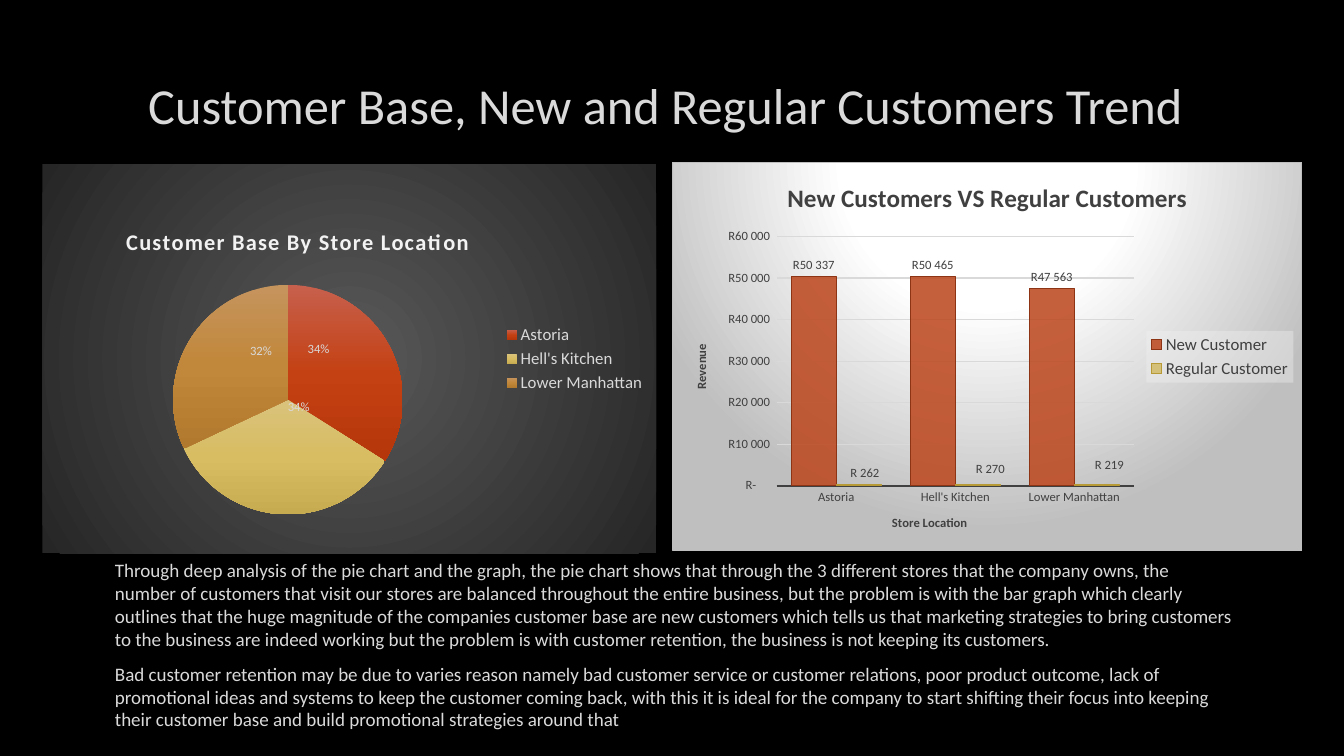
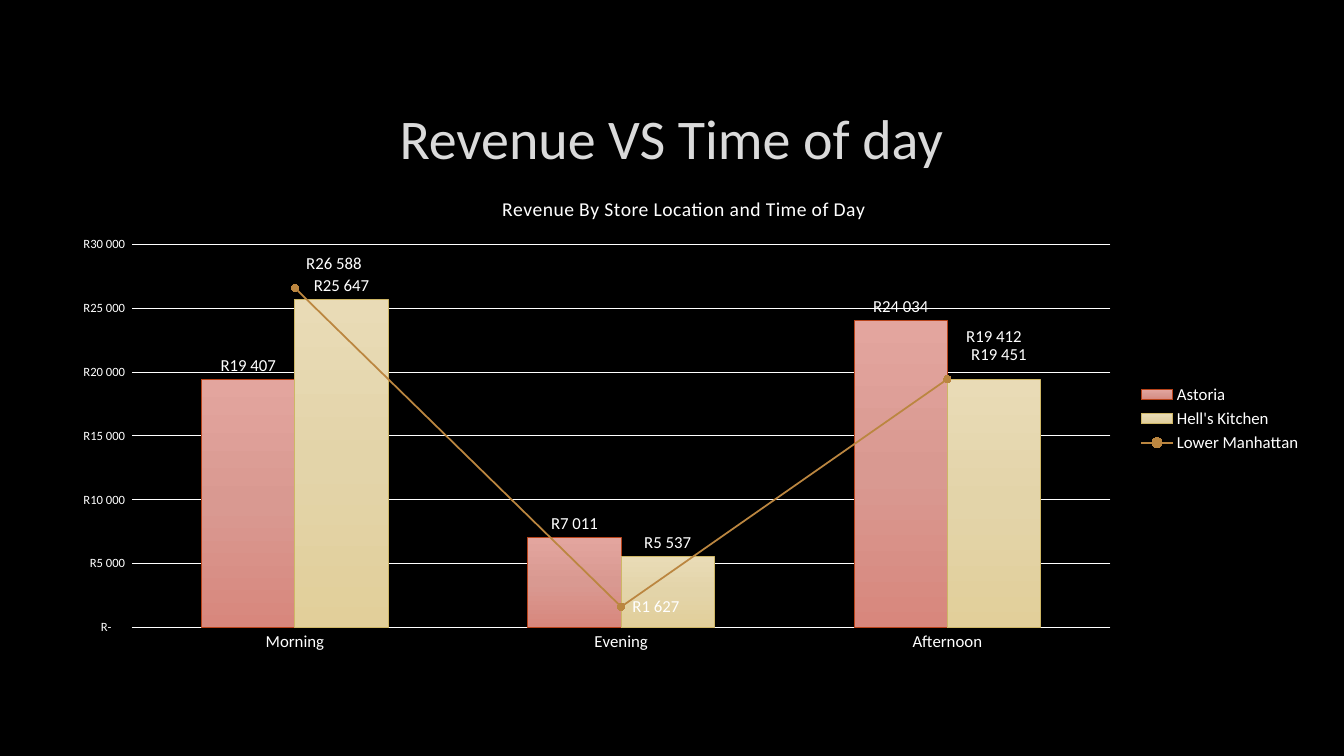
from copy import deepcopy
from dataclasses import dataclass

from pptx import Presentation, oxml
from pptx.chart import data as chart_data
from pptx.dml import color, fill as fills
from pptx.enum import chart as kinds, text
from pptx.oxml import ns
from pptx.util import Inches, Pt


@dataclass(frozen=True)
class Theme:
    font: str = "Calibri"
    back: str = "000000"
    heading: str = "DADADA"
    white: str = "FFFFFF"
    pale: str = "D9D9D9"
    bright: str = "F2F2F2"
    dark: str = "404040"
    edge: str = "BFBFBF"
    tan: str = "BB8640"
    title: float = 36
    big_title: float = 40
    body: float = 13.6
    pie_title: float = 16
    bar_title: float = 18
    combo_title: float = 14
    label: float = 12
    small: float = 9


THEME = Theme()
RAND = r'_-[$R-1C09]* #\ ##0_-;\-[$R-1C09]* #\ ##0_-;_-[$R-1C09]* "-"??_-;_-@_-'
STORES = ["Astoria", "Hell's Kitchen", "Lower Manhattan"]
REGULARS = [262, 270, 219]
SLICE_STOPS = [
    [(0, "C7604D"), (50, "C44113"), (100, "B5360A")],
    [(0, "D9C27B"), (50, "D8BD63"), (100, "C7AB51")],
    [(0, "C5945D"), (50, "C1873A"), (100, "B1792E")],
]
FINDINGS = [
    "Through deep analysis of the pie chart and the graph, the pie chart shows that through the 3 different stores "
    "that the company owns, the number of customers that visit our stores are balanced throughout the entire "
    "business, but the problem is with the bar graph which clearly outlines that the huge magnitude of the companies "
    "customer base are new customers which tells us that marketing strategies to bring customers to the business are "
    "indeed working but the problem is with customer retention, the business is not keeping its customers.",
    "Bad customer retention may be due to varies reason namely bad customer service or customer relations, poor "
    "product outcome, lack of promotional ideas and systems to keep the customer coming back, with this it is ideal "
    "for the company to start shifting their focus into keeping their customer base and build promotional strategies "
    "around that",
]


def rgb(value):
    return color.RGBColor.from_string(value)


def assign(target, **values):
    for name, value in values.items():
        setattr(target, name, value)


def style_font(font, size, ink, bold=False):
    assign(font, name=THEME.font, size=Pt(size), bold=bold)
    font.color.rgb = rgb(ink)


def style_line(line, ink, width=0.75):
    line.color.rgb = rgb(ink)
    line.width = Pt(width)


def element(markup):
    head, rest = markup.split(">", 1) if not markup.endswith("/>") else (markup[:-2], "/>")
    spaces = ns.nsdecls("a", "c")
    return oxml.parse_xml(f"{head} {spaces}{rest}" if rest == "/>" else f"{head} {spaces}>{rest}")


def solid(fill, ink, alpha=100):
    fill.solid()
    fill.fore_color.rgb = rgb(ink)
    if alpha < 100:
        swatch = fill._xPr.find(".//" + ns.qn("a:srgbClr"))
        swatch.append(element(f'<a:alpha val="{alpha * 1000}"/>'))


def gradient(fill, stops, focus=None):
    fill.background()
    listed = "".join(f'<a:gs pos="{at * 1000}"><a:srgbClr val="{ink}"/></a:gs>' for at, ink in stops)
    way = '<a:lin ang="5400000" scaled="0"/>'
    if focus:
        sides = " ".join(f'{side}="{part * 1000}"' for side, part in zip("ltrb", focus))
        way = f'<a:path path="circle"><a:fillToRect {sides}/></a:path>'
    blank = fill._xPr.find(ns.qn("a:noFill"))
    fill._xPr.replace(blank, element(f"<a:gradFill><a:gsLst>{listed}</a:gsLst>{way}</a:gradFill>"))


def place(parent, index, place_at, edge=True):
    old = parent.find(ns.qn("c:layout"))
    if old is not None:
        parent.remove(old)
    modes = '<c:xMode val="edge"/><c:yMode val="edge"/>' if edge else ""
    target = '<c:layoutTarget val="inner"/>' if len(place_at) == 4 else ""
    sizes = "".join(f'<c:{key} val="{part}"/>' for key, part in zip("xywh", place_at))
    parent.insert(index, element(f"<c:layout><c:manualLayout>{target}{modes}{sizes}</c:manualLayout></c:layout>"))


def label_series(series, size, ink, position, fmt=RAND, percent=False, shifts=()):
    labels = series.data_labels
    assign(labels, number_format=fmt, number_format_is_linked=False, position=position,
           show_value=not percent, show_percentage=percent)
    style_font(labels.font, size, ink)
    for leader in labels._element.findall(ns.qn("c:showLeaderLines")):
        labels._element.remove(leader)
    shared = list(labels._element)
    labels._element.append(element('<c:showLeaderLines val="0"/>'))
    for order, (point, shift) in enumerate(shifts):
        label = element(f'<c:dLbl><c:idx val="{point}"/></c:dLbl>')
        for part in shared:
            label.append(deepcopy(part))
        place(label, 1, shift, edge=False)
        labels._element.insert(order, label)


def write_title(owner, words, size, ink, bold=True, spacing=0):
    paragraph = owner.text_frame.paragraphs[0]
    run = paragraph.add_run()
    run.text = words
    style_font(run.font, size, ink, bold)
    if spacing:
        run._r.get_or_add_rPr().set("spc", str(spacing))


def add_chart(slide, box, kind, categories, rows, ink):
    numbers = chart_data.CategoryChartData()
    numbers.categories = categories
    for name, values in rows:
        numbers.add_series(name, values)
    chart = slide.shapes.add_chart(kind, *map(Inches, box), numbers).chart
    if len(chart.plots[0].series) < len(rows):
        chart.replace_data(numbers)
    style_font(chart.font, 10, THEME.white)
    assign(chart, has_title=True, has_legend=True)
    assign(chart.legend, position=kinds.XL_LEGEND_POSITION.RIGHT, include_in_layout=False)
    style_font(chart.legend.font, THEME.label, ink)
    return chart


def chart_back(chart):
    area = element("<c:spPr></c:spPr>")
    chart.element.find(ns.qn("c:chart")).addnext(area)
    return area, fills.FillFormat.from_fill_parent(area)


def style_axes(chart, ink, grid, cat_size, cat_width):
    for axis in (chart.category_axis, chart.value_axis):
        assign(axis, major_tick_mark=kinds.XL_TICK_MARK.NONE, minor_tick_mark=kinds.XL_TICK_MARK.NONE)
    style_font(chart.category_axis.tick_labels.font, cat_size, ink)
    style_line(chart.category_axis.format.line, ink, cat_width)
    value_axis = chart.value_axis
    style_font(value_axis.tick_labels.font, THEME.small, ink)
    assign(value_axis.tick_labels, number_format=RAND, number_format_is_linked=False)
    value_axis.format.line.fill.background()
    value_axis.has_major_gridlines = True
    style_line(value_axis.major_gridlines.format.line, grid)


def store_share_pie(slide, box):
    chart = add_chart(slide, box, kinds.XL_CHART_TYPE.PIE, STORES,
                      [("Series 1", [34, 34, 32]), ("Series 2", REGULARS)], THEME.pale)
    write_title(chart.chart_title, "Customer Base By Store Location", THEME.pie_title, THEME.bright, spacing=100)
    place(chart.chart_title._element, 1, (0.13, 0.15))
    place(chart.element.find(".//" + ns.qn("c:plotArea")), 0, (0.06, 0.31, 0.68, 0.59))
    gradient(chart_back(chart)[1], [(0, "595959"), (100, "262626")], (50, 50, 50, 50))
    chart.plots[0].vary_by_categories = True
    shifts = [(0, (-0.14, 0.04)), (1, (0.03, -0.31)), (2, (0.14, 0.06))]
    for order, series in enumerate(chart.plots[0].series):
        for index, stops in enumerate(SLICE_STOPS):
            wedge = series.points[index].format
            gradient(wedge.fill, stops)
            wedge.line.fill.background()
        share = order == 0
        label_series(series, THEME.small, THEME.pale, kinds.XL_LABEL_POSITION.BEST_FIT,
                     "0%" if share else RAND, share, shifts if share else ())


def customer_columns(slide, box):
    chart = add_chart(slide, box, kinds.XL_CHART_TYPE.COLUMN_CLUSTERED, STORES,
                      [("New Customer", [50337, 50465, 47563]), ("Regular Customer", REGULARS)], THEME.dark)
    write_title(chart.chart_title, "New Customers VS Regular Customers", THEME.bar_title, THEME.dark)
    area, back = chart_back(chart)
    gradient(back, [(0, THEME.white), (39, THEME.white), (100, THEME.edge)], (50, -80, 50, 180))
    area.append(element(f'<a:ln w="9525"><a:solidFill><a:srgbClr val="{THEME.edge}"/></a:solidFill></a:ln>'))
    legend_box = element("<c:spPr></c:spPr>")
    chart.legend._element.find(ns.qn("c:txPr")).addprevious(legend_box)
    solid(fills.FillFormat.from_fill_parent(legend_box), THEME.bright, 39)
    style_axes(chart, THEME.dark, THEME.pale, THEME.small, 1.5)
    for axis, words in ((chart.category_axis, "Store Location"), (chart.value_axis, "Revenue")):
        write_title(axis.axis_title, words, THEME.small, THEME.dark)
    assign(chart.plots[0], gap_width=65, overlap=0, vary_by_categories=False)
    looks = [("BC451B", "8D3414", ()),
             ("D3BA68", "B79935", [(0, (0.01, 0)), (1, (0.02, -0.01)), (2, (0.02, -0.02))])]
    for series, (ink, outline, shifts) in zip(chart.plots[0].series, looks):
        solid(series.format.fill, ink, 85)
        style_line(series.format.line, outline)
        label_series(series, THEME.small, THEME.dark, kinds.XL_LABEL_POSITION.OUTSIDE_END, shifts=shifts)


def move_last_to_line(chart):
    columns = chart.element.find(".//" + ns.qn("c:barChart"))
    moved = columns.findall(ns.qn("c:ser"))[-1]
    for flag in moved.findall(ns.qn("c:invertIfNegative")):
        moved.remove(flag)
    line = element('<c:lineChart><c:grouping val="standard"/><c:varyColors val="0"/>'
                   '<c:marker val="1"/></c:lineChart>')
    line.insert(2, moved)
    for axis_id in columns.findall(ns.qn("c:axId")):
        line.append(deepcopy(axis_id))
    columns.addnext(line)


def revenue_combo(slide, box):
    chart = add_chart(slide, box, kinds.XL_CHART_TYPE.COLUMN_CLUSTERED, ["Morning", "Evening", "Afternoon"],
                      list(zip(STORES, [[19407, 7011, 24034], [25647, 5537, 19412], [26588, 1627, 19451]])),
                      THEME.white)
    write_title(chart.chart_title, "Revenue By Store Location and Time of Day", THEME.combo_title, THEME.white,
                bold=False, spacing=20)
    style_axes(chart, THEME.white, THEME.white, THEME.label, 0.75)
    move_last_to_line(chart)
    columns, trend = chart.plots
    assign(columns, gap_width=150, overlap=0, vary_by_categories=False)
    looks = [([(0, "E3A59E"), (50, "D99991"), (100, "D8877D")], "B8431A", ()),
             ([(0, "E9DBB6"), (50, "E3D4A9"), (100, "E2CF9A")], "CEB666", [(2, (0, -0.06))])]
    for series, (stops, outline, shifts) in zip(columns.series, looks):
        gradient(series.format.fill, stops)
        style_line(series.format.line, outline)
        label_series(series, THEME.label, THEME.white, kinds.XL_LABEL_POSITION.OUTSIDE_END, shifts=shifts)
    manhattan = trend.series[0]
    manhattan.smooth = False
    style_line(manhattan.format.line, THEME.tan, 1.25)
    assign(manhattan.marker, style=kinds.XL_MARKER_STYLE.CIRCLE, size=5)
    solid(manhattan.marker.format.fill, THEME.tan)
    style_line(manhattan.marker.format.line, THEME.tan)
    label_series(manhattan, THEME.label, THEME.white, kinds.XL_LABEL_POSITION.RIGHT,
                 shifts=[(0, (0, -0.05)), (2, (0.01, -0.05))])


def fill_placeholder(holder, box, paragraphs, size, anchor):
    assign(holder, **dict(zip(("left", "top", "width", "height"), map(Inches, box))))
    frame = holder.text_frame
    assign(frame, word_wrap=True, auto_size=text.MSO_AUTO_SIZE.NONE, vertical_anchor=anchor)
    frame.text = "\n".join(paragraphs)
    for paragraph in frame.paragraphs:
        style_font(paragraph.runs[0].font, size, THEME.heading)
    return frame.paragraphs


def write_heading(slide, words, box, size):
    for paragraph in fill_placeholder(slide.shapes.title, box, [words], size, text.MSO_ANCHOR.MIDDLE):
        paragraph.alignment = text.PP_ALIGN.CENTER


def write_findings(slide, box):
    holder = slide.placeholders[1]
    for paragraph in fill_placeholder(holder, box, FINDINGS, THEME.body, text.MSO_ANCHOR.TOP):
        paragraph.space_after = Pt(6)
        props = paragraph._p.get_or_add_pPr()
        props.set("marL", str(Inches(0.04)))
        props.set("indent", "0")
        props.append(element("<a:buNone/>"))


def customer_slide(deck):
    slide = deck.slides.add_slide(deck.slide_layouts[1])
    write_heading(slide, "Customer Base, New and Regular Customers Trend ", (1, 0.67, 11.32, 0.73), THEME.title)
    write_findings(slide, (1, 5.49, 11.32, 1.74))
    store_share_pie(slide, (0.42, 1.63, 6.09, 3.86))
    customer_columns(slide, (6.67, 1.61, 6.25, 3.86))


def revenue_slide(deck):
    slide = deck.slides.add_slide(deck.slide_layouts[5])
    write_heading(slide, "Revenue VS Time of day", (1, 0.67, 11.32, 1.38), THEME.big_title)
    revenue_combo(slide, (0.55, 1.75, 12.47, 4.81))


def main():
    deck = Presentation()
    assign(deck, slide_width=Inches(40 / 3), slide_height=Inches(7.5))
    solid(deck.slide_master.background.fill, THEME.back)
    customer_slide(deck)
    revenue_slide(deck)
    deck.save("out.pptx")


if __name__ == "__main__":
    main()
